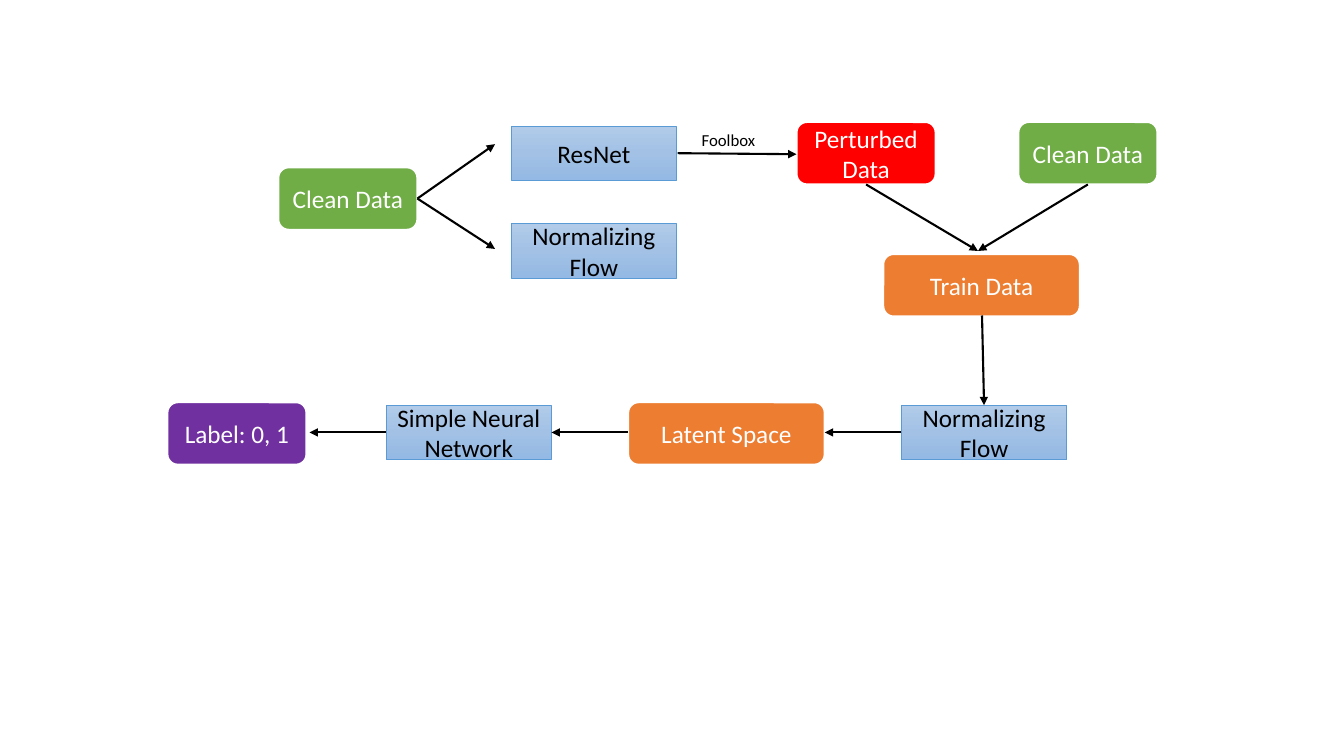
from copy import deepcopy

from lxml import etree
from pptx import Presentation
from pptx.dml.color import RGBColor as RGB
from pptx.enum.shapes import MSO_CONNECTOR as CONN, MSO_SHAPE as SHAPE
from pptx.enum.text import MSO_ANCHOR as ANCHOR, PP_ALIGN as ALIGN
from pptx.oxml.ns import qn
from pptx.util import Emu, Pt

PX = 9144  # EMU per px, 100 px to the inch
FONT = "Calibri"
COLORS = {
    "clean": "70AD47",
    "perturbed": "FF0000",
    "data": "ED7D31",
    "label": "7030A0",
    "model_line": "5B9BD5",
    "white": "FFFFFF",
    "black": "000000",
}
MODEL_GRADIENT = ["B1CBE9", "A3C1E5", "93B9E4"]
SMALL, WIDE = 138, 195
DATA_H = 62
MODEL_W, MODEL_H = 164, 54


def px(n):
    return Emu(n * PX)


def color(name):
    return RGB.from_string(COLORS[name])


def add_run(tf, text, size, ink):
    p = tf.paragraphs[0]
    r = p.add_run()
    r.text = text
    r.font.name = FONT
    r.font.size = Pt(size)
    r.font.color.rgb = color(ink)
    return p


def add_box(slide, shape, text, x, y, w, h, ink, line, line_width):
    sp = slide.shapes.add_shape(shape, px(x), px(y), px(w), px(h))
    sp.shadow.inherit = False
    sp.line.color.rgb = color(line)
    sp.line.width = Pt(line_width)
    tf = sp.text_frame
    tf.word_wrap = True
    tf.vertical_anchor = ANCHOR.MIDDLE
    add_run(tf, text, 18, ink).alignment = ALIGN.CENTER
    return sp


def add_data(slide, text, x, y, w, fill):
    sp = add_box(slide, SHAPE.ROUNDED_RECTANGLE, text, x, y, w, DATA_H,
                 "white", "white", 1.5)
    sp.fill.solid()
    sp.fill.fore_color.rgb = color(fill)


def add_model(slide, text, x, y):
    sp = add_box(slide, SHAPE.RECTANGLE, text, x, y, MODEL_W, MODEL_H,
                 "black", "model_line", 0.5)
    fill_gradient(sp)


def fill_gradient(sp):
    """Fill from top to bottom with the three evenly spaced model blues."""
    sp.fill.gradient()
    sp.fill.gradient_angle = 270
    first = sp._element.spPr.find(qn("a:gradFill")).find(qn("a:gsLst"))[0]
    first.addnext(deepcopy(first))
    for i, (stop, blue) in enumerate(zip(sp.fill.gradient_stops, MODEL_GRADIENT)):
        stop.position = i / 2
        stop.color.rgb = RGB.from_string(blue)


def add_arrow(slide, x1, y1, x2, y2):
    line = slide.shapes.add_connector(CONN.STRAIGHT, px(x1), px(y1), px(x2), px(y2))
    line.line.color.rgb = color("black")
    line.line.width = Pt(1.5)
    etree.SubElement(line.line._get_or_add_ln(), qn("a:tailEnd"), type="triangle")
    etree.SubElement(line._element.spPr, qn("a:effectLst"))


def add_caption(slide, text, x, y, w, h):
    tf = slide.shapes.add_textbox(px(x), px(y), px(w), px(h)).text_frame
    tf.word_wrap = True
    add_run(tf, text, 12, "black")


def main():
    prs = Presentation()
    prs.slide_width, prs.slide_height = px(1333), px(750)
    slide = prs.slides.add_slide(prs.slide_layouts[6])

    for text, x, y, w, fill in [
        ("Clean Data", 276, 166, SMALL, "clean"),
        ("Perturbed Data", 790, 121, SMALL, "perturbed"),
        ("Clean Data", 1010, 121, SMALL, "clean"),
        ("Train Data", 876, 252, WIDE, "data"),
        ("Latent Space", 623, 399, WIDE, "data"),
        ("Label: 0, 1", 166, 399, SMALL, "label"),
    ]:
        add_data(slide, text, x, y, w, fill)

    for text, x, y in [
        ("ResNet", 507, 125),
        ("Normalizing Flow", 507, 222),
        ("Normalizing Flow", 894, 402),
        ("Simple Neural Network", 383, 402),
    ]:
        add_model(slide, text, x, y)

    add_caption(slide, "Foolbox", 686, 124, 85, 30)

    for ends in [
        (414, 197, 491, 143),
        (414, 197, 491, 247),
        (672, 152, 790, 153),
        (859, 183, 970, 249),
        (1079, 183, 970, 249),
        (974, 313, 976, 402),
    ]:
        add_arrow(slide, *ends)
    for start in (894, 623, 383):
        add_arrow(slide, start, 429, start - 76, 429)

    prs.save("out.pptx")


if __name__ == "__main__":
    main()
